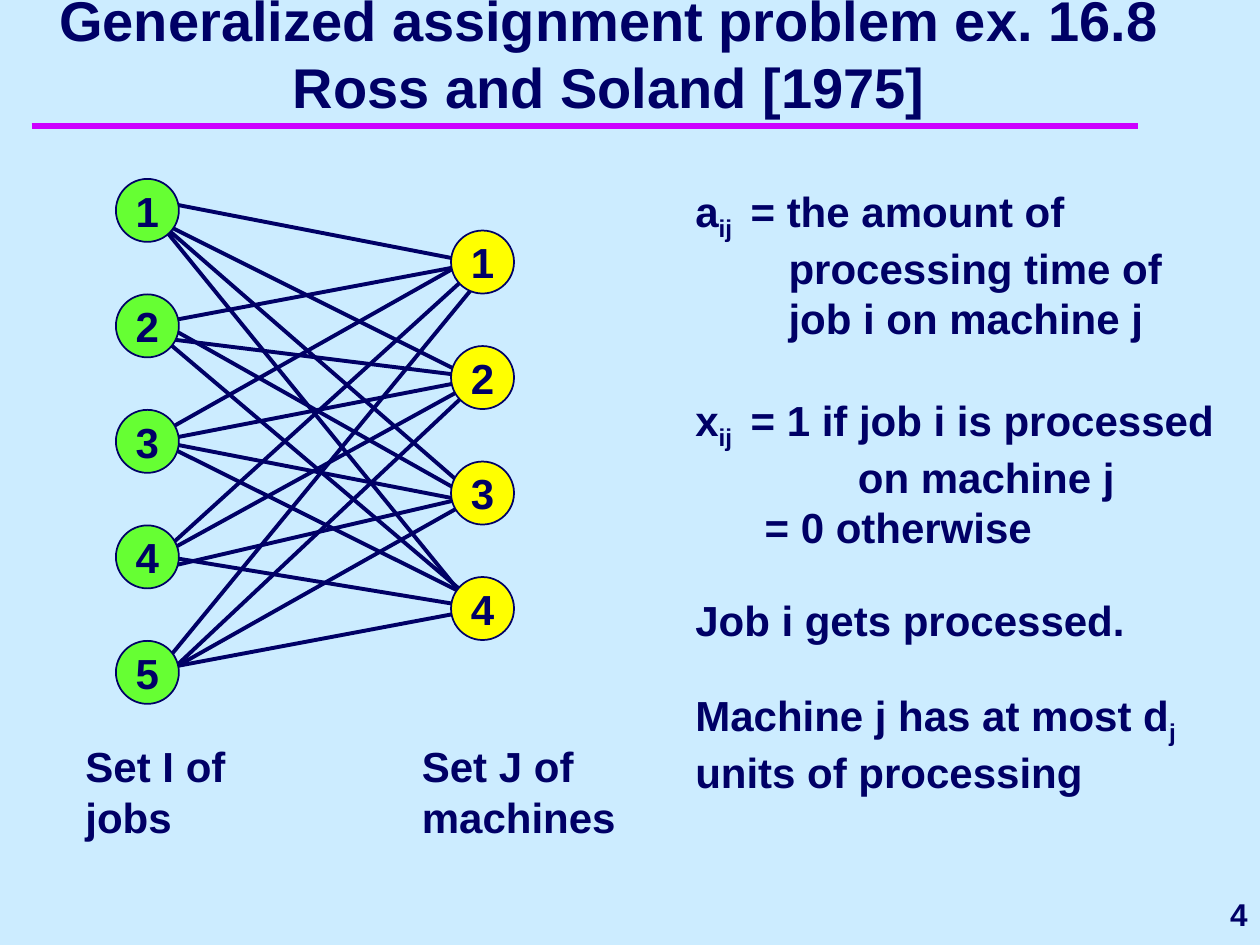
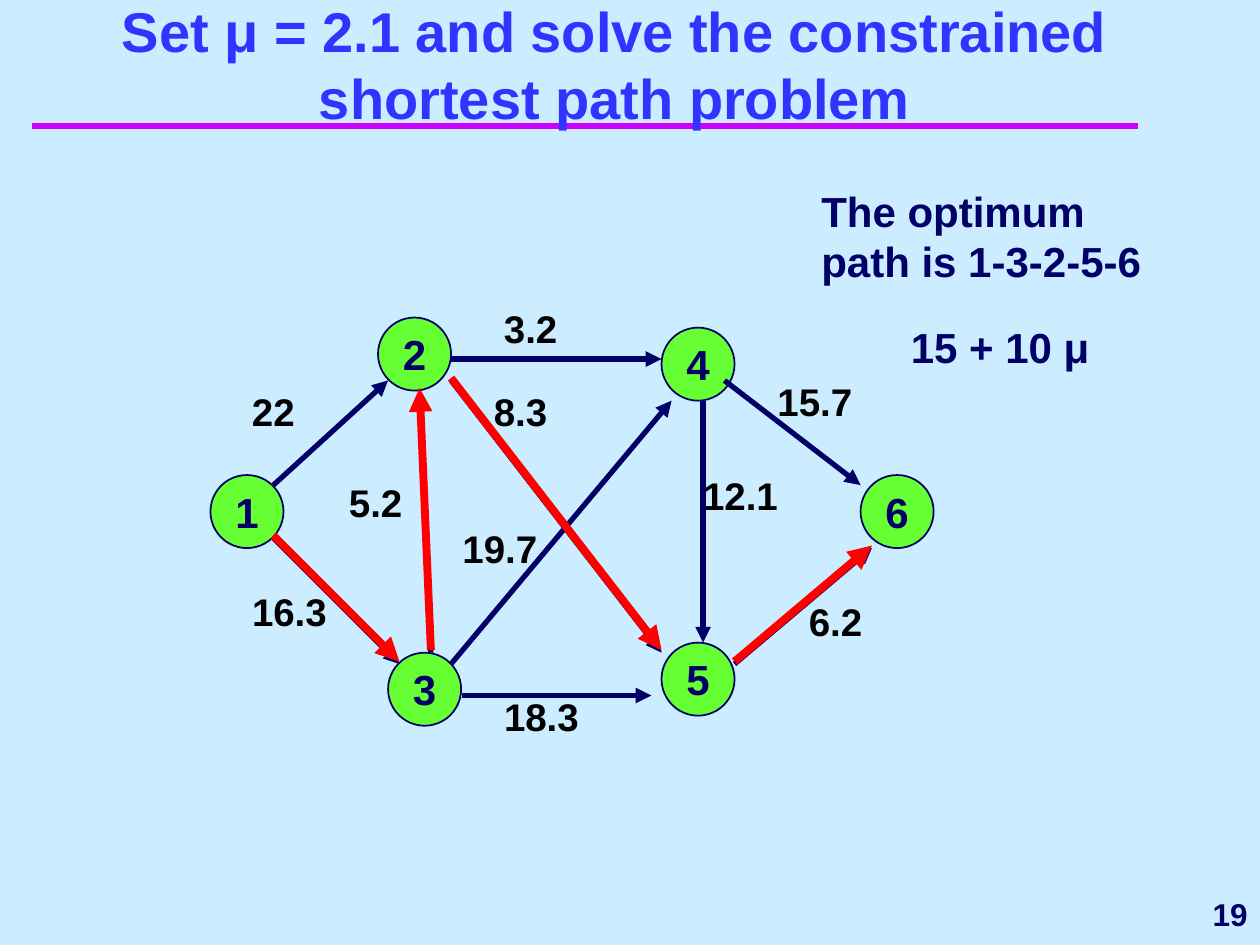
from lxml import etree
from pptx import Presentation
from pptx.dml.color import RGBColor
from pptx.enum.shapes import MSO_CONNECTOR, MSO_SHAPE
from pptx.enum.text import MSO_ANCHOR, MSO_AUTO_SIZE, PP_ALIGN
from pptx.oxml.ns import qn
from pptx.util import Inches, Pt

STRAIGHT = MSO_CONNECTOR.STRAIGHT
OVAL = MSO_SHAPE.OVAL
TOP, MIDDLE, BOTTOM = MSO_ANCHOR.TOP, MSO_ANCHOR.MIDDLE, MSO_ANCHOR.BOTTOM
LEFT, CENTER, RIGHT = PP_ALIGN.LEFT, PP_ALIGN.CENTER, PP_ALIGN.RIGHT
NO_AUTOFIT = MSO_AUTO_SIZE.NONE

SKY = RGBColor(0xCC, 0xEC, 0xFF)
NAVY = RGBColor(0x00, 0x00, 0x66)
BLUE = RGBColor(0x33, 0x33, 0xFF)
MAGENTA = RGBColor(0xCC, 0x00, 0xFF)
GREEN = RGBColor(0x66, 0xFF, 0x33)
YELLOW = RGBColor(0xFF, 0xFF, 0x00)
RED = RGBColor(0xFF, 0x00, 0x00)
BLACK = RGBColor(0x00, 0x00, 0x00)


class Deck:
    """Holds the shared style and the slide being built."""

    font_name = "Arial"

    def __init__(self):
        self.presentation = Presentation()
        self.presentation.slide_width = Inches(10)
        self.presentation.slide_height = Inches(7.5)
        fill = self.presentation.slide_master.background.fill
        fill.solid()
        fill.fore_color.rgb = SKY
        self.slide = None

    def start_slide(self, title, title_box, number, title_color=NAVY):
        layout = self.presentation.slide_layouts[5]
        self.slide = self.presentation.slides.add_slide(layout)
        self.line((0.25, 1), (9.03, 1), MAGENTA, 4)
        self.text(number, (8.42, 7, 1.58, 0.5), 18, align=RIGHT, anchor=MIDDLE)
        placeholder = self.slide.shapes.title
        # Bring the title in front of the rule and the number
        self.slide.shapes._spTree.append(placeholder._element)
        left, top, width, height = map(Inches, title_box)
        placeholder.left, placeholder.top = left, top
        placeholder.width, placeholder.height = width, height
        frame = placeholder.text_frame
        frame.text = title
        frame.auto_size = NO_AUTOFIT
        frame.word_wrap = True
        frame.vertical_anchor = BOTTOM
        self.style(frame.paragraphs[0], 32, title_color, CENTER)

    def style(self, paragraph, size, color=NAVY, align=LEFT):
        paragraph.alignment = align
        paragraph.line_spacing = 1.0
        paragraph.space_before = Pt(0)
        font = paragraph.font
        font.name, font.size, font.bold = self.font_name, Pt(size), True
        font.color.rgb = color

    def text(self, content, box, size=24, color=NAVY, align=LEFT, anchor=TOP):
        """Add a text box; content is a string or a list of (indent, pieces)."""
        shape = self.slide.shapes.add_textbox(*map(Inches, box))
        frame = shape.text_frame
        frame.word_wrap = True
        frame.vertical_anchor = anchor
        rows = [(0, [content])] if isinstance(content, str) else content
        for index, (indent, pieces) in enumerate(rows):
            paragraph = frame.add_paragraph() if index else frame.paragraphs[0]
            if indent:
                paragraph._p.get_or_add_pPr().set("marL", str(Inches(indent)))
            # Every second piece is a subscript
            for position, piece in enumerate(pieces):
                run = paragraph.add_run()
                run.text = piece
                if position % 2:
                    run._r.get_or_add_rPr().set("baseline", "-25000")
            self.style(paragraph, size, color, align)
        return frame

    def cost(self, value, left, top):
        # Room for each digit, plus a margin for the decimal point
        width = 0.17 * len(value.replace(".", "")) + 0.1
        frame = self.text(value, (left, top, width, 0.37), 22, BLACK)
        frame.margin_left = frame.margin_right = 0
        frame.margin_top = frame.margin_bottom = 0

    def node(self, label, left, top, diameter, color):
        box = map(Inches, (left, top, diameter, diameter))
        shape = self.slide.shapes.add_shape(OVAL, *box)
        shape.shadow.inherit = False
        shape.fill.solid()
        shape.fill.fore_color.rgb = color
        shape.line.color.rgb = NAVY
        shape.line.width = Pt(1)
        frame = shape.text_frame
        frame.text = str(label)
        frame.word_wrap = False
        frame.vertical_anchor = MIDDLE
        self.style(frame.paragraphs[0], 24, align=CENTER)

    def line(self, start, end, color, width, arrow=False):
        points = map(Inches, (*start, *end))
        connector = self.slide.shapes.add_connector(STRAIGHT, *points)
        connector.line.color.rgb = color
        connector.line.width = Pt(width)
        if arrow:
            outline = connector.line._get_or_add_ln()
            etree.SubElement(outline, qn("a:tailEnd"), type="triangle")
        etree.SubElement(connector._element.spPr, qn("a:effectLst"))


def build_assignment_slide(deck):
    deck.start_slide("Generalized assignment problem ex. 16.8\vRoss and Soland [1975]",
                     (0, -0.08, 9.67, 1.08), "4")

    # Definitions and constraints
    deck.text([(0, ["a", "ij ", " = the amount of"]),
               (0.74, ["processing time of"]),
               (0.74, ["job i on machine j"])], (5.42, 1.42, 4.08, 1.36))
    deck.text([(0, ["x", "ij ", " = 1 if job i is processed"]),
               (1.29, ["on machine j"]),
               (0.55, ["= 0 otherwise"])], (5.42, 3.08, 4.42, 1.36))
    deck.text("Job i gets processed.", (5.42, 4.67, 4.17, 0.9))
    deck.text([(0, ["Machine j has at most d", "j", " units of processing"])],
              (5.42, 5.42, 4.17, 0.96))

    # Captions of the two sets
    deck.text("Set I of jobs", (0.58, 5.83, 1.42, 0.9))
    deck.text("Set J of machines", (3.25, 5.83, 1.75, 0.9))

    # Every job is linked to machines 1 to 4: start x, start y, end x, end y
    job_links = [
        [(1.17, 1.58, 3.75, 2.08), (1.25, 1.75, 3.75, 3),
         (1.25, 1.75, 3.75, 3.92), (1.25, 1.75, 3.83, 4.92)],
        [(1.17, 2.58, 3.83, 2.08), (1.17, 2.67, 3.83, 3),
         (1.17, 2.5, 3.83, 4), (1.17, 2.58, 3.83, 4.83)],
        [(1.17, 3.5, 3.83, 2), (1.25, 3.5, 3.83, 3),
         (1.25, 3.5, 3.83, 4), (1.25, 3.5, 3.92, 4.83)],
        [(1.25, 4.42, 3.83, 2.08), (1.25, 4.42, 3.83, 3),
         (1.33, 4.5, 3.83, 3.92), (1.33, 4.42, 3.83, 4.83)],
        [(1.25, 5.33, 3.92, 2.08), (1.17, 5.5, 3.83, 3),
         (1.17, 5.42, 3.83, 3.92), (1.17, 5.33, 3.83, 4.83)],
    ]
    for links in job_links:
        for link in links:
            deck.line(link[:2], link[2:], NAVY, 2.25)

    # Job and machine nodes, evenly spaced
    node_pitch = 5.5 / 6
    for count, left, top, color in [(5, 0.92, 1.42, GREEN), (4, 3.58, 1.83, YELLOW)]:
        for index in range(count):
            deck.node(index + 1, left, top + index * node_pitch, 0.5, color)


def build_shortest_path_slide(deck):
    deck.start_slide("Set μ = 2.1 and solve the constrained shortest path problem",
                     (0.42, 0.67, 8.92, 0.42), "19", BLUE)

    # Arc costs
    for value, left, top in [
            ("22", 2, 3.08), ("3.2", 4, 2.42), ("15.7", 6.17, 3), ("8.3", 3.92, 3.08),
            ("16.3", 2, 4.67), ("18.3", 4, 5.5), ("6.2", 6.42, 4.75),
            ("5.2", 2.77, 3.8), ("12.1", 5.58, 3.75), ("19.7", 3.67, 4.17)]:
        deck.cost(value, left, top)

    # Network nodes
    for label, left, top in [(1, 1.67, 3.77), (2, 3, 2.52), (4, 5.25, 2.6),
                             (5, 5.25, 5.1), (3, 3.08, 5.18), (6, 6.83, 3.77)]:
        deck.node(label, left, top, 0.58, GREEN)

    # Arcs, keyed by tail and head node
    arcs = {
        (1, 2): ((2.17, 3.85), (3.08, 3.02)),
        (2, 4): ((3.58, 2.85), (5.25, 2.85)),
        (2, 5): ((3.58, 3.02), (5.25, 5.18)),
        (1, 3): ((2.17, 4.27), (3.17, 5.27)),
        (3, 2): ((3.42, 5.18), (3.33, 3.1)),
        (3, 4): ((3.58, 5.27), (5.33, 3.18)),
        (3, 5): ((3.67, 5.52), (5.17, 5.52)),
        (5, 6): ((5.83, 5.27), (6.92, 4.35)),
        (4, 6): ((5.75, 3.02), (6.83, 3.85)),
        (4, 5): ((5.58, 3.18), (5.58, 5.1)),
    }
    for start, end in arcs.values():
        deck.line(start, end, NAVY, 3, arrow=True)

    # Optimum path, highlighted just above its arcs
    deck.text("The optimum path is 1-3-2-5-6", (6.42, 1.42, 3.08, 0.9))
    deck.text("15 + 10 μ", (7.13, 2.5, 2.29, 0.5))
    optimum = [1, 3, 2, 5, 6]
    for arc in zip(optimum, optimum[1:]):
        start, end = [(x, y - 0.02) for x, y in arcs[arc]]
        deck.line(start, end, RED, 4.5, arrow=True)


def main():
    deck = Deck()
    build_assignment_slide(deck)
    build_shortest_path_slide(deck)
    deck.presentation.save("out.pptx")


if __name__ == "__main__":
    main()
